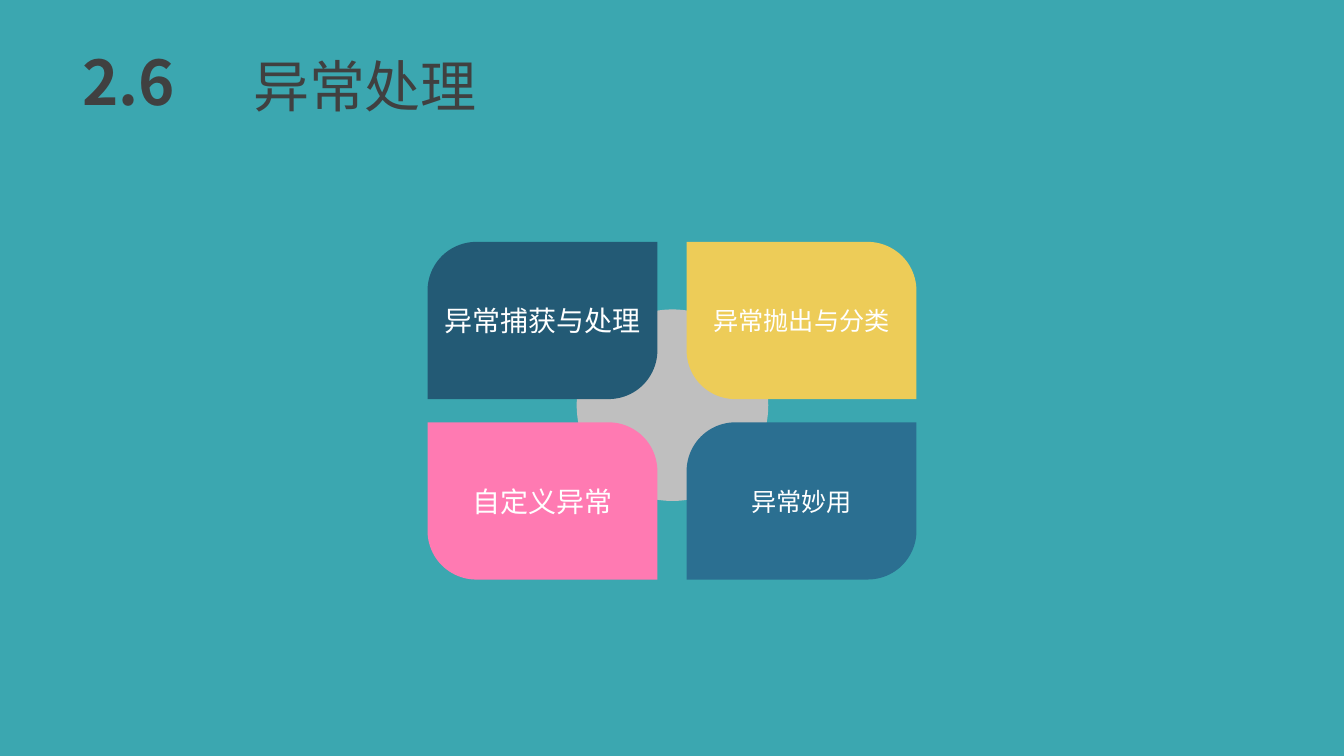
from dataclasses import dataclass

from lxml import etree
from pptx import Presentation
from pptx.dml.color import RGBColor
from pptx.enum.shapes import MSO_SHAPE
from pptx.enum.text import MSO_ANCHOR, MSO_AUTO_SIZE, PP_ALIGN
from pptx.oxml.ns import qn
from pptx.util import Inches, Pt

ELLIPSE = MSO_SHAPE.OVAL
PETAL = MSO_SHAPE.ROUND_2_DIAG_RECTANGLE
TOP, MIDDLE = MSO_ANCHOR.TOP, MSO_ANCHOR.MIDDLE
CENTER = PP_ALIGN.CENTER
NO_AUTOFIT = MSO_AUTO_SIZE.NONE

TEAL = RGBColor(0x3B, 0xA7, 0xB0)
CHARCOAL = RGBColor(0x40, 0x40, 0x40)
GREY = RGBColor(0xBF, 0xBF, 0xBF)
WHITE = RGBColor(0xFF, 0xFF, 0xFF)
NAVY = RGBColor(0x23, 0x5A, 0x75)
PINK = RGBColor(0xFF, 0x7A, 0xB2)
YELLOW = RGBColor(0xED, 0xCC, 0x58)
BLUE = RGBColor(0x2B, 0x6F, 0x91)

FONT_SC = "Noto Sans CJK SC"
FONT_JP = "Noto Sans CJK JP"

PETAL_W, PETAL_H = 2.28, 1.56
PETAL_LEFT, PETAL_TOP = 4.24, 2.4
COL_STEP, ROW_STEP = 2.57, 1.79
CORNER = 0.31


@dataclass(frozen=True)
class Topic:
    text: str
    size: int
    color: RGBColor
    col: int
    row: int


TOPICS = [
    Topic("异常捕获与处理", 20, NAVY, 0, 0),
    Topic("自定义异常", 20, PINK, 0, 1),
    Topic("异常抛出与分类", 18, YELLOW, 1, 0),
    Topic("异常妙用", 18, BLUE, 1, 1),
]


def write_text(sp, text: str, size: int, color: RGBColor, font: str = FONT_SC,
               bold: bool = False, **frame) -> None:
    """Fill a shape with one centred run; frame holds text frame settings."""
    tf = sp.text_frame
    for name, value in frame.items():
        setattr(tf, name, value)
    p = tf.paragraphs[0]
    p.alignment = CENTER
    r = p.add_run()
    r.text = text
    r.font.color.rgb = color
    for name, value in {"size": Pt(size), "bold": bold, "name": font}.items():
        setattr(r.font, name, value)
    ea = etree.SubElement(r._r.get_or_add_rPr(), qn("a:ea"))
    ea.set("typeface", font)


def add_filled(slide, kind, left: float, top: float, width: float,
               height: float, color: RGBColor):
    sp = slide.shapes.add_shape(kind, Inches(left), Inches(top),
                                Inches(width), Inches(height))
    sp.shadow.inherit = False
    sp.fill.solid()
    sp.fill.fore_color.rgb = color
    sp.line.fill.background()
    return sp


def add_heading(slide) -> None:
    title = slide.shapes.title
    box = {"left": 2.41, "top": 0.46, "width": 2.42, "height": 0.77}
    for name, value in box.items():
        setattr(title, name, Inches(value))
    write_text(title, "异常处理", 40, CHARCOAL, word_wrap=False,
               vertical_anchor=TOP, auto_size=NO_AUTOFIT)
    number = slide.shapes.add_textbox(Inches(0.4), Inches(0.39),
                                      Inches(1.75), Inches(0.84))
    write_text(number, "2.6", 44, CHARCOAL, FONT_JP, True, word_wrap=True)


def add_topic(slide, topic: Topic) -> None:
    sp = add_filled(slide, PETAL, PETAL_LEFT + topic.col * COL_STEP,
                    PETAL_TOP + topic.row * ROW_STEP, PETAL_W, PETAL_H,
                    topic.color)
    on_main_diagonal = topic.col == topic.row
    sp.adjustments[0] = CORNER if on_main_diagonal else 0
    sp.adjustments[1] = 0 if on_main_diagonal else CORNER
    write_text(sp, topic.text, topic.size, WHITE, word_wrap=True,
               vertical_anchor=MIDDLE, margin_left=0, margin_right=0)


def main() -> None:
    prs = Presentation()
    prs.slide_width, prs.slide_height = Inches(13.33), Inches(7.5)
    slide = prs.slides.add_slide(prs.slide_layouts[5])
    slide.background.fill.solid()
    slide.background.fill.fore_color.rgb = TEAL
    add_heading(slide)
    add_filled(slide, ELLIPSE, 5.72, 3.07, 1.9, 1.9, GREY)
    for topic in TOPICS:
        add_topic(slide, topic)
    prs.save("out.pptx")


if __name__ == "__main__":
    main()
